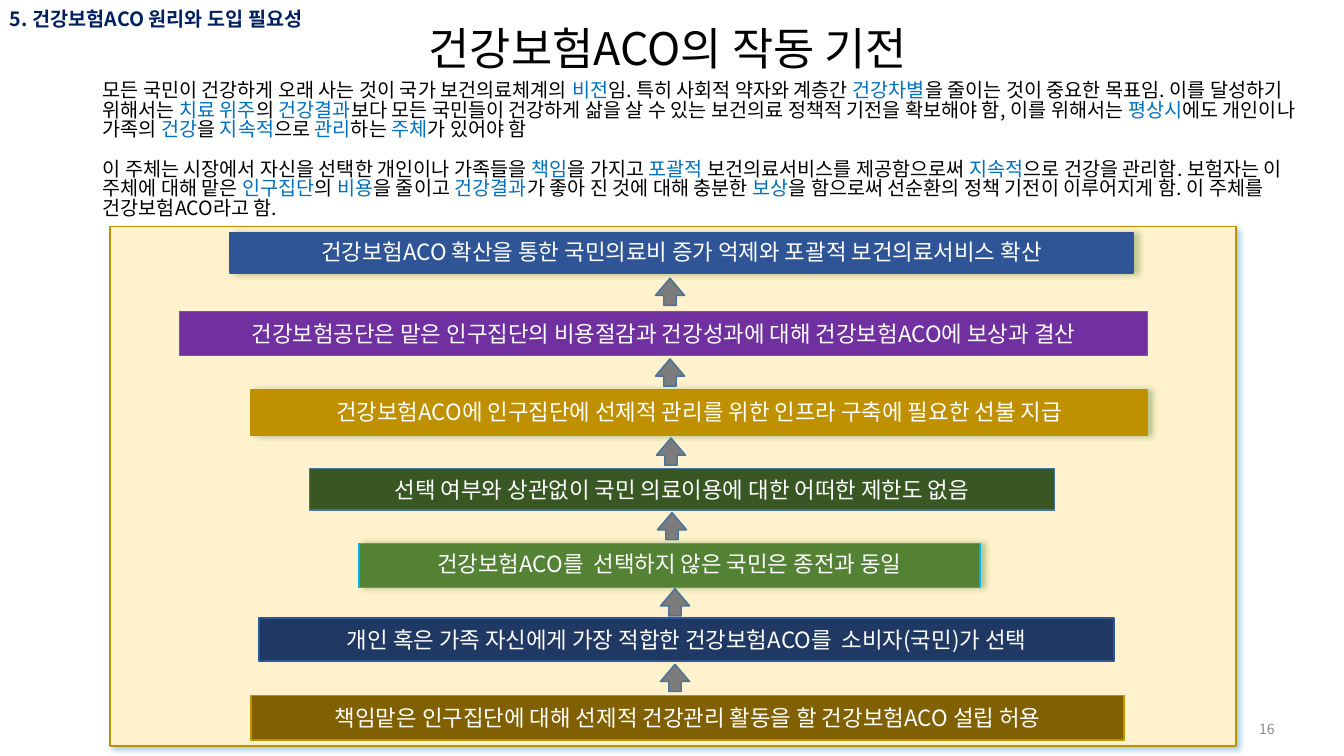
import pptx
import pptx.util
import pptx.dml.color
import pptx.enum.shapes
import pptx.enum.text
import pptx.oxml
import pptx.oxml.ns
from pptx.util import Inches

COLORS = {
    "black": "000000", "white": "FFFFFF", "navy": "002060", "highlight": "0070C0",
    "number": "8C8C8C", "cream": "FFF2CC", "gold": "BF9000", "brown": "806000",
    "blue": "2F5597", "dark_blue": "203864", "purple": "7030A0", "dark_green": "385723",
    "green": "548235", "cyan": "00B0F0", "gray": "7C7C7C", "steel": "43739E",
}
ALIGN = pptx.enum.text.PP_ALIGN
SHAPE = pptx.enum.shapes.MSO_SHAPE


def rgb(name):
    return pptx.dml.color.RGBColor.from_string(COLORS[name])


class SlideBuilder:
    font_name = "Noto Sans CJK KR"

    def __init__(self, slide):
        self.slide = slide

    def set_text(self, shape, text, size, color, align, bold=False, spacing=None, inset=None):
        """Fill a shape with one paragraph; parts between | marks are highlighted."""
        frame = shape.text_frame
        frame.word_wrap = True
        frame.vertical_anchor = pptx.enum.text.MSO_ANCHOR.MIDDLE
        if inset is not None:
            frame.margin_left = frame.margin_right = Inches(inset)
            frame.margin_top = frame.margin_bottom = Inches(inset)
        paragraph = frame.paragraphs[0]
        paragraph.alignment = align
        if spacing:
            paragraph.line_spacing = spacing
        font = paragraph.font
        font.size = pptx.util.Pt(size)
        font.bold = bold
        font.color.rgb = rgb(color)
        font.name = self.font_name
        # East Asian typeface for the Korean text
        properties = paragraph._p.pPr.find(pptx.oxml.ns.qn("a:defRPr"))
        properties.append(pptx.oxml.parse_xml(
            f'<a:ea {pptx.oxml.ns.nsdecls("a")} typeface="{self.font_name}"/>'))
        for index, part in enumerate(text.split("|")):
            run = paragraph.add_run()
            run.text = part
            if index % 2:
                run.font.color.rgb = rgb("highlight")

    def text(self, left, top, width, height, text, size, color="black",
             align=ALIGN.LEFT, **style):
        box = self.slide.shapes.add_textbox(
            Inches(left), Inches(top), Inches(width), Inches(height))
        self.set_text(box, text, size, color, align, **style)

    def shape(self, kind, left, top, width, height, fill, line):
        shape = self.slide.shapes.add_shape(
            kind, Inches(left), Inches(top), Inches(width), Inches(height))
        shape.shadow.inherit = False
        shape.fill.solid()
        shape.fill.fore_color.rgb = rgb(fill)
        shape.line.color.rgb = rgb(line)
        shape.line.width = pptx.util.Pt(1)
        return shape

    def cast_shadow(self, shape, color, degrees):
        effects = shape._element.spPr.find(pptx.oxml.ns.qn("a:effectLst"))
        effects.append(pptx.oxml.parse_xml(
            f'<a:outerShdw {pptx.oxml.ns.nsdecls("a")} blurRad="50800" dist="38100" '
            f'dir="{degrees * 60000}" algn="l" rotWithShape="0">'
            f'<a:srgbClr val="{COLORS[color]}"><a:alpha val="40000"/></a:srgbClr>'
            '</a:outerShdw>'))

    def bar(self, left, top, width, height, text, fill, line, shadowed):
        bar = self.shape(SHAPE.RECTANGLE, left, top, width, height, fill, line)
        if shadowed:
            self.cast_shadow(bar, "green", 0)
        self.set_text(bar, text, 16, "white", ALIGN.CENTER,
                      spacing=0.9 if shadowed else None, inset=0.04)

    def up_arrow(self, left, top):
        arrow = self.shape(SHAPE.RIGHT_ARROW, left, top, 0.27, 0.29, "gray", "steel")
        arrow.rotation = 270
        arrow.adjustments[0] = 0.425
        arrow.adjustments[1] = 0.634


# Steps from top to bottom: left, top, width, height, text, fill, line, shadowed
STEPS = [
    (2.28, 2.31, 8.96, 0.4, "건강보험ACO 확산을 통한 국민의료비 증가 억제와 포괄적 보건의료서비스 확산",
     "blue", "blue", True),
    (1.78, 3.09, 9.6, 0.44, "건강보험공단은 맡은 인구집단의 비용절감과 건강성과에 대해 건강보험ACO에 보상과 결산",
     "purple", "steel", False),
    (2.49, 3.87, 8.89, 0.45, "건강보험ACO에 인구집단에 선제적 관리를 위한 인프라 구축에 필요한 선불 지급",
     "gold", "gold", True),
    (3.07, 4.65, 7.39, 0.41, "선택 여부와 상관없이 국민 의료이용에 대한 어떠한 제한도 없음",
     "dark_green", "steel", False),
    (3.56, 5.39, 6.16, 0.44, "건강보험ACO를  선택하지 않은 국민은 종전과 동일",
     "green", "cyan", True),
    (2.57, 6.13, 8.48, 0.43, "개인 혹은 가족 자신에게 가장 적합한 건강보험ACO를  소비자(국민)가 선택",
     "dark_blue", "blue", False),
    (2.49, 6.9, 8.66, 0.44, "책임맡은 인구집단에 대해 선제적 건강관리 활동을 할 건강보험ACO 설립 허용",
     "brown", "gold", False),
]
ARROW_LEFTS = [6.51, 6.51, 6.52, 6.53, 6.56, 6.56]

VISION = (
    "모든 국민이 건강하게 오래 사는 것이 국가 보건의료체계의 |비전|임. 특히 사회적 약자와 계층간 "
    "|건강차별|을 줄이는 것이 중요한 목표임. 이를 달성하기 위해서는 |치료 위주|의| 건강결과|보다 "
    "모든 국민들이 건강하게 삶을 살 수 있는 보건의료 정책적 기전을 확보해야 함, 이를 위해서는 "
    "|평상시|에도 개인이나 가족의 |건강|을 |지속적|으로 |관리|하는 |주체|가 있어야 함")
MECHANISM = (
    "이 주체는 시장에서 자신을 선택한 개인이나 가족들을 |책임|을 가지고 |포괄적| 보건의료서비스를 "
    "제공함으로써 |지속적|으로 건강을 관리함. 보험자는 이 주체에 대해 맡은 |인구집단|의 |비용|을 "
    "줄이고 |건강결과|가 좋아 진 것에 대해 충분한 |보상|을 함으로써 선순환의 정책 기전이 "
    "이루어지게 함. 이 주체를 건강보험ACO라고 함.")


def main():
    presentation = pptx.Presentation()
    presentation.slide_width = Inches(13.33)
    presentation.slide_height = Inches(7.5)
    builder = SlideBuilder(presentation.slides.add_slide(presentation.slide_layouts[6]))

    # Headings and introduction
    builder.text(0, 0.04, 4.15, 0.29, "5. 건강보험ACO 원리와 도입 필요성", 14, "navy", bold=True)
    builder.text(1.28, 0.24, 10.69, 0.53, "건강보험ACO의 작동 기전", 32,
                 align=ALIGN.CENTER, spacing=0.9)
    builder.text(0.92, 0.79, 12.03, 0.63, VISION, 14, spacing=0.83)
    builder.text(0.92, 1.57, 12.16, 0.63, MECHANISM, 14, spacing=0.83)

    # Panel with the chain of steps
    panel = builder.shape(SHAPE.RECTANGLE, 1.09, 2.25, 11.17, 5.15, "cream", "gold")
    builder.cast_shadow(panel, "highlight", 45)
    for step in STEPS:
        builder.bar(*step)

    # Arrows centred in the gaps between steps
    for left, upper, lower in zip(ARROW_LEFTS, STEPS, STEPS[1:]):
        gap_middle = (upper[1] + upper[3] + lower[1]) / 2
        builder.up_arrow(left, gap_middle - 0.15)

    # Page number
    builder.text(9.74, 7.03, 3, 0.4, "16", 10, "number", align=ALIGN.RIGHT)

    presentation.save("out.pptx")


if __name__ == "__main__":
    main()
